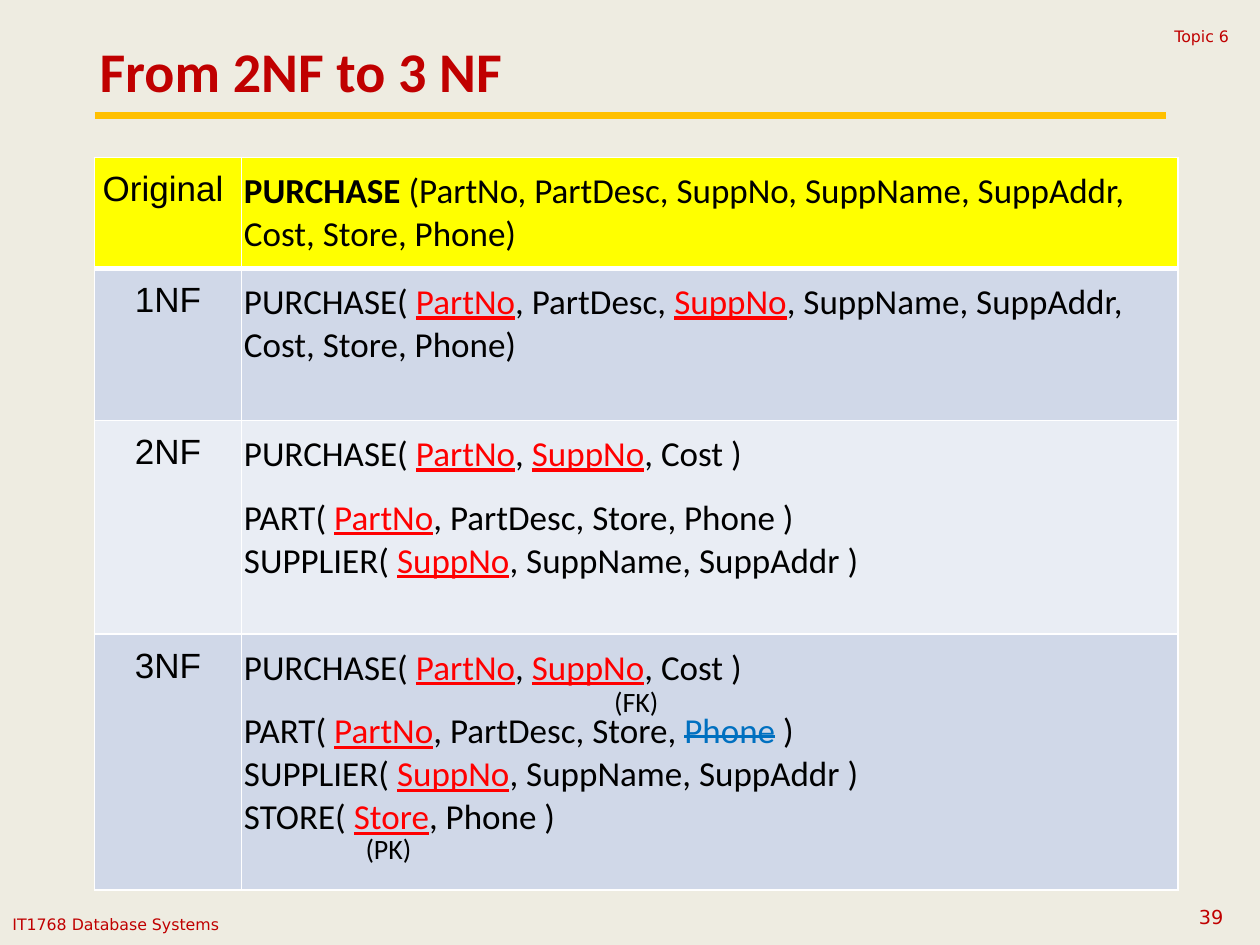
from lxml import etree
from pptx import Presentation
from pptx.dml.color import RGBColor
from pptx.enum.shapes import MSO_CONNECTOR
from pptx.enum.text import PP_ALIGN
from pptx.oxml.ns import qn
from pptx.util import Pt

LEFT, CENTER = PP_ALIGN.LEFT, PP_ALIGN.CENTER
STRAIGHT = MSO_CONNECTOR.STRAIGHT
CREAM = RGBColor(0xEE, 0xEC, 0xE1)
GOLD = RGBColor(0xFF, 0xC0, 0x00)
DARK_RED = RGBColor(0xC0, 0x00, 0x00)
RED = RGBColor(0xFF, 0x00, 0x00)
BLUE = RGBColor(0x00, 0x70, 0xC0)
BLACK = RGBColor(0x00, 0x00, 0x00)
WHITE = RGBColor(0xFF, 0xFF, 0xFF)
YELLOW = RGBColor(0xFF, 0xFF, 0x00)
BAND_DARK = RGBColor(0xD0, 0xD8, 0xE8)
BAND_LIGHT = RGBColor(0xE9, 0xED, 0xF4)


def add_run(p, text, font, size, color, bold=False):
    r = p.add_run()
    r.text = text
    r.font.name = font
    r.font.size = Pt(size)
    r.font.color.rgb = color
    r.font.bold = bold
    return r


def add_border(cell, side, width):
    ln = etree.SubElement(cell._tc.get_or_add_tcPr(), qn("a:" + side), w=str(Pt(width)))
    fill = etree.SubElement(ln, qn("a:solidFill"))
    etree.SubElement(fill, qn("a:srgbClr"), val=str(WHITE))


prs = Presentation()
prs.slide_width, prs.slide_height = Pt(720), Pt(540)
s = prs.slides.add_slide(prs.slide_layouts[6])
s.background.fill.solid()
s.background.fill.fore_color.rgb = CREAM

rule = s.shapes.add_connector(STRAIGHT, Pt(54), Pt(66), Pt(666), Pt(66))
rule.line.color.rgb = GOLD
rule.line.width = Pt(4)
etree.SubElement(rule._element.spPr, qn("a:effectLst"))

ROWS = [
    ("Original ", 62.4, YELLOW, [
        "|*PURCHASE |(PartNo, PartDesc, SuppNo, SuppName, SuppAddr, Cost, Store, Phone)"]),
    ("1NF", 86.8, BAND_DARK, [
        "PURCHASE( |_PartNo|, PartDesc, |_SuppNo|, SuppName, SuppAddr, Cost, Store, Phone)"]),
    ("2NF", 122.2, BAND_LIGHT, [
        "PURCHASE( |_PartNo|, |_SuppNo|, Cost )",
        "PART( |_PartNo|, PartDesc, Store, Phone )",
        "SUPPLIER( |_SuppNo|, SuppName, SuppAddr )"]),
    ("3NF", 146.2, BAND_DARK, [
        "PURCHASE( |_PartNo|, |_SuppNo|, Cost )",
        "PART( |_PartNo|, PartDesc, Store, |~Phone| )",
        "SUPPLIER( |_SuppNo|, SuppName, SuppAddr )",
        "STORE( |_Store|, Phone )"]),
]

table = s.shapes.add_table(len(ROWS), 2, Pt(54), Pt(90), Pt(619.2), Pt(417.6)).table
table.first_row = False
table.horz_banding = False
table.columns[0].width, table.columns[1].width = Pt(84), Pt(535.2)

for i, (label, height, fill, relations) in enumerate(ROWS):
    table.rows[i].height = Pt(height)
    for cell in table.rows[i].cells:
        cell.margin_left = cell.margin_right = Pt(1.44)
        cell.margin_top = cell.margin_bottom = Pt(7.2)
        for side in ("lnL", "lnR", "lnT", "lnB"):
            heavy = (i, side) in ((0, "lnB"), (1, "lnT"))
            add_border(cell, side, 3 if heavy else 1)
        cell.fill.solid()
        cell.fill.fore_color.rgb = fill

    p = table.cell(i, 0).text_frame.paragraphs[0]
    p.alignment = CENTER
    add_run(p, label, "Arial", 20, BLACK)

    tf = table.cell(i, 1).text_frame
    for j, relation in enumerate(relations):
        p = tf.add_paragraph() if j else tf.paragraphs[0]
        if j == 1:
            p.space_before = Pt(12)
        for part in filter(None, relation.split("|")):
            mark = part[0]
            color = {"_": RED, "~": BLUE}.get(mark, BLACK)
            r = add_run(p, part.lstrip("*_~"), "Calibri", 20, color, mark == "*")
            if mark == "_":
                r.font.underline = True
            if mark == "~":
                r._r.get_or_add_rPr().set("strike", "sngStrike")

TEXTS = [
    ("IT1768 Database Systems", 0, 519, 204, 18, 7.2, 3.6, "DejaVu Sans", 9, DARK_RED, LEFT),
    ("39", 678, 513.5, 36, 21, 7.2, 3.6, "DejaVu Sans", 11, DARK_RED, LEFT),
    ("Topic 6", 664, 12, 54, 18, 7.2, 3.6, "DejaVu Sans", 9, DARK_RED, LEFT),
    ("From 2NF to 3 NF", 54, 18, 248, 44.6, 2.88, 2.88, "Calibri", 32, DARK_RED, LEFT),
    ("(PK)", 204, 474, 36, 22, 1.44, 1.44, "Calibri", 16, BLACK, CENTER),
    ("(FK)", 345.6, 390, 36, 22, 1.44, 1.44, "Calibri", 16, BLACK, CENTER),
]

for text, x, y, w, h, inset_x, inset_y, font, size, color, align in TEXTS:
    tf = s.shapes.add_textbox(Pt(x), Pt(y), Pt(w), Pt(h)).text_frame
    tf.word_wrap = size < 32
    tf.margin_left = tf.margin_right = Pt(inset_x)
    tf.margin_top = tf.margin_bottom = Pt(inset_y)
    p = tf.paragraphs[0]
    p.alignment = align
    add_run(p, text, font, size, color, size == 32)

prs.save("out.pptx")
